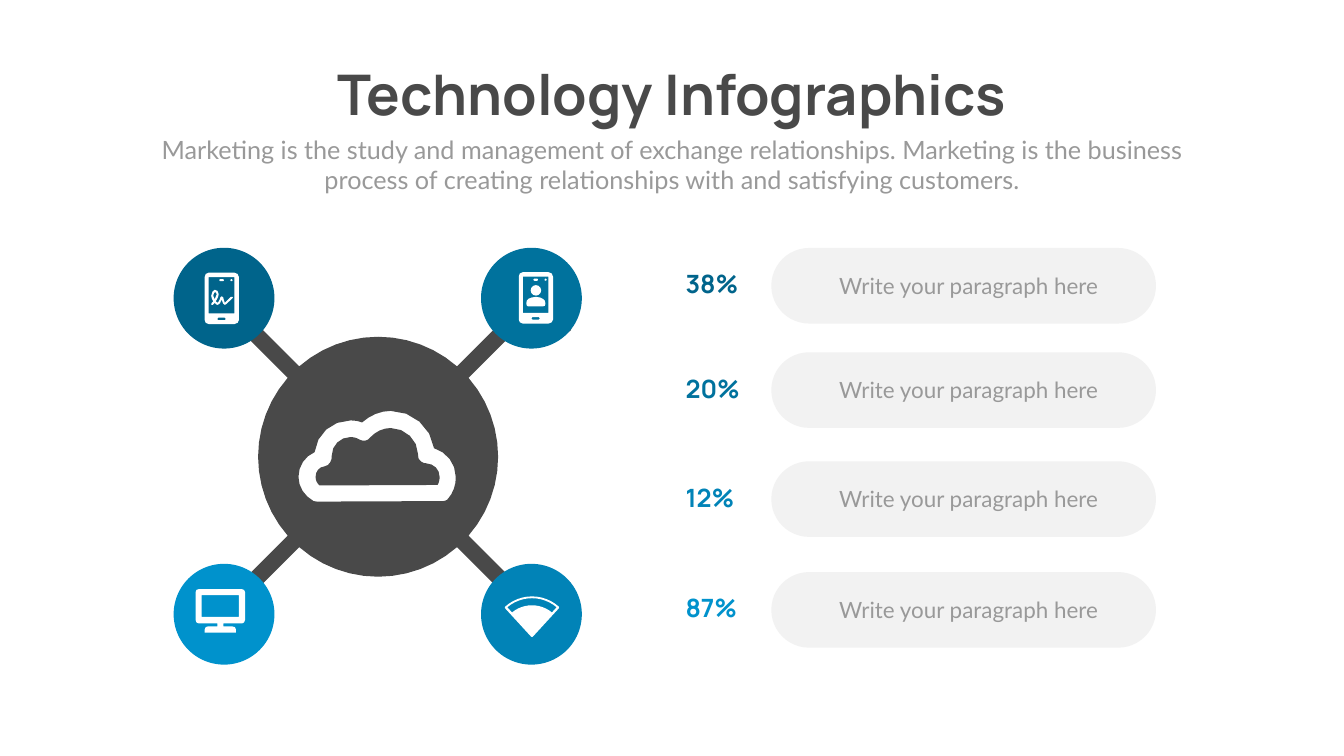
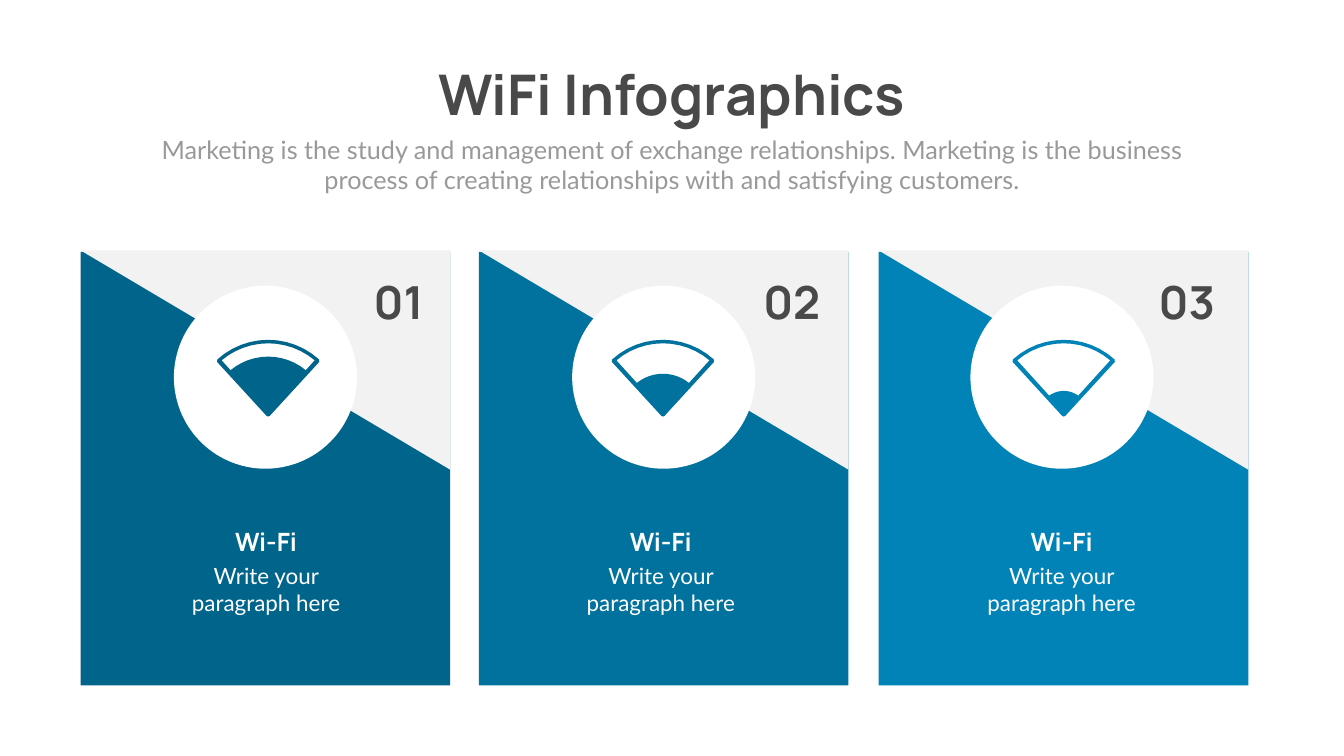
"""Build two infographic slides: a cloud hub with its devices, and three Wi-Fi cards."""
from dataclasses import dataclass
from math import asin, cos, degrees, radians, sin
from typing import NamedTuple

from pptx import Presentation
from pptx.dml.color import RGBColor
from pptx.enum.shapes import MSO_SHAPE
from pptx.enum.text import MSO_AUTO_SIZE, PP_ALIGN
from pptx.shapes.autoshape import Shape
from pptx.slide import Slide
from pptx.util import Pt

ELLIPSE, RECTANGLE = MSO_SHAPE.OVAL, MSO_SHAPE.RECTANGLE
PILL, TRIANGLE = MSO_SHAPE.ROUNDED_RECTANGLE, MSO_SHAPE.RIGHT_TRIANGLE
LEFT, CENTER, RIGHT = PP_ALIGN.LEFT, PP_ALIGN.CENTER, PP_ALIGN.RIGHT
FIT_TEXT = MSO_AUTO_SIZE.SHAPE_TO_FIT_TEXT


@dataclass(frozen=True)
class Theme:
    """Colours, fonts and type sizes of the deck."""
    dark: str = "494949"
    muted: str = "999999"
    pale: str = "F2F2F2"
    white: str = "FFFFFF"
    blues: tuple[str, ...] = ("00648B", "00729D", "0183B7", "0092CC")
    heading_font: str = "Manrope"
    body_font: str = "Lato"
    title_size: float = 80
    number_size: float = 65
    label_size: float = 36
    body_size: float = 32


class Frame(NamedTuple):
    """Left, top, width and height in points."""
    left: float
    top: float
    width: float
    height: float


class Point(NamedTuple):
    """A position in points."""
    x: float
    y: float


class Style(NamedTuple):
    """The look of one line of text."""
    font: str
    size: float
    color: str
    bold: bool = False
    align: PP_ALIGN = CENTER


class Row(NamedTuple):
    """One percentage row."""
    top: float
    value: str
    color: str


class Card(NamedTuple):
    """One Wi-Fi card."""
    left: float
    apex: float
    number_left: float
    number: str
    signal: float
    color: str


Contour = list[Point]
THEME = Theme()
HEADING, BODY = THEME.heading_font, THEME.body_font
BLUES = THEME.blues
SLIDE_WIDTH, SLIDE_HEIGHT = 1919.5, 1080
ART_UNIT = 0.72
BLURB = ("Marketing is the study and management of exchange relationships. Marketing is "
         "the business process of creating relationships with and satisfying customers.")
PROMPT = "Write your paragraph here"
FULL_SIGNAL = 84
ROWS = [
    Row(354.25, "38%", BLUES[0]),
    Row(503.25, "20%", BLUES[1]),
    Row(659, "12%", BLUES[2]),
    Row(817.25, "87%", BLUES[3]),
]
CARDS = [
    Card(115.2, 383, 497.5, "01", FULL_SIGNAL, BLUES[0]),
    Card(684, 946.8, 1064.2, "02", 59.5, BLUES[1]),
    Card(1255, 1519.2, 1628, "03", 35, BLUES[2]),
]

CLOUD = [
    "M 139 83 C 136 87 132 88 127 88 L -121 89 L -128 88 "
    "C -146 78 -158 60 -158 40 C -158 18 -145 -1 -126 -9 C -122 -45 -92 -72 -55 -72 "
    "C -47 -72 -39 -71 -32 -68 C -16 -82 4 -91 25 -91 C 68 -91 105 -59 111 -17 "
    "C 136 -9 154 13 154 40 C 155 56 148 73 139 83",
    "M 122 40 C 122 45 121 51 118 56 L -116 57 C -121 53 -124 47 -124 40 "
    "C -124 29 -117 20 -106 19 C -97 18 -91 7 -92 -2 C -92 -23 -75 -39 -55 -39 "
    "C -49 -39 -43 -38 -37 -34 C -29 -30 -21 -31 -16 -38 C -5 -50 10 -57 25 -57 "
    "C 54 -57 79 -33 79 -6 L 80 3 C 83 9 89 13 95 13 C 111 14 122 25 122 40",
]
SIGNATURE = [
    "M 14 60 L 13 63 L 15 64 L 16 64 L 20 60 C 22 63 24 64 26 64 C 29 64 32 59 33 55 "
    "L 34 54 C 36 60 37 64 40 64 C 40 64 43 64 55 51 L 56 49 L 55 48 "
    "L 52 48 L 40 60 L 38 54 C 37 50 37 47 34 47 "
    "C 32 47 31 49 30 53 C 29 55 27 59 26 60 L 22 57 C 25 52 28 47 28 43 "
    "C 28 37 24 34 20 34 C 18 34 13 39 13 46 C 13 49 15 53 17 57 L 14 60",
    "M 20 39 C 21 39 24 39 24 43 L 20 53 L 17 46 C 17 41 20 39 20 39",
]
SHOULDERS = [
    "M 19 68 L 48 68 C 51 68 53 66 53 63 L 53 62 C 53 58 51 55 48 53 C 45 51 40 49 34 49 "
    "C 28 49 23 51 19 53 C 16 55 15 58 15 62 L 15 63 C 15 66 17 68 19 68",
]
MONITOR = [
    "M 92 0 L 6 0 C 2 0 0 2 0 6 L 0 61 C 0 65 2 68 6 68 L 43 68 L 43 74 L 24 74 "
    "C 21 74 18 76 18 80 L 18 86 L 80 86 L 80 80 C 80 76 77 74 73 74 L 55 74 L 55 68 "
    "L 92 68 C 95 68 98 65 98 61 L 98 6 C 98 2 95 0 92 0",
    "M 86 55 L 12 55 L 12 12 L 86 12",
]
PHONE = [
    "M 59 0 L 8 0 C 3 0 0 4 0 9 L 0 94 C 0 98 3 102 8 102 L 59 102 "
    "C 64 102 68 98 68 94 L 68 9 C 68 4 64 0 59 0",
    "M 40 94 L 27 94 L 25 92 L 27 89 L 40 89 L 42 92",
    "M 59 81 L 8 81 L 8 9 L 59 9",
]


def arc(center: Point, radius: float, start: float, end: float, steps: int) -> Contour:
    """Return points along an arc, with angles in degrees clockwise from the right."""
    angles = [radians(start + (end - start) * i / steps) for i in range(steps + 1)]
    return [Point(center.x + radius * cos(a), center.y + radius * sin(a)) for a in angles]


def trace(outline: str, origin: Point, steps: int) -> Contour:
    """Turn an outline of lines and cubic curves into points around an origin."""
    contour: Contour = []
    for segment in outline.replace("L", "M").replace("C", "M").split("M")[1:]:
        values = [float(v) * ART_UNIT for v in segment.split()]
        ends = [Point(origin.x + x, origin.y + y) for x, y in zip(values[::2], values[1::2])]
        if len(ends) == 1:
            contour += ends
            continue
        knots = [contour[-1], *ends]
        for step in range(1, steps + 1):
            t = step / steps
            weights = ((1 - t) ** 3, 3 * t * (1 - t) ** 2, 3 * t * t * (1 - t), t ** 3)
            contour.append(Point(sum(w * k.x for w, k in zip(weights, knots)),
                                 sum(w * k.y for w, k in zip(weights, knots))))
    return contour


def paint(shape: Shape, color: str) -> None:
    """Give a shape a flat fill without line or shadow."""
    shape.shadow.inherit = False
    shape.fill.solid()
    shape.fill.fore_color.rgb = RGBColor.from_string(color)
    shape.line.fill.background()


def add_preset(page: Slide, kind: MSO_SHAPE, frame: Frame, color: str) -> Shape:
    """Draw a flat preset shape."""
    shape = page.shapes.add_shape(kind, *(Pt(v) for v in frame))
    paint(shape, color)
    if kind == PILL:
        shape.adjustments[0] = 0.5
    return shape


def add_outline(page: Slide, contours: list[Contour], color: str) -> None:
    """Draw closed contours as one freeform, inner contours being holes."""
    first, *others = [[(Pt(p.x), Pt(p.y)) for p in contour] for contour in contours]
    builder = page.shapes.build_freeform(*first[0], scale=1.0)
    builder.add_line_segments(first[1:], close=True)
    for contour in others:
        builder.move_to(*contour[0])
        builder.add_line_segments(contour[1:], close=True)
    paint(builder.convert_to_shape(), color)


def add_art(page: Slide, outlines: list[str], origin: Point) -> None:
    """Draw a white icon from its outlines."""
    add_outline(page, [trace(outline, origin, 2) for outline in outlines], THEME.white)


def add_text(page: Slide, frame: Frame, text: str, style: Style, wrap: bool = True) -> None:
    """Write one paragraph in a text box."""
    box = page.shapes.add_textbox(*(Pt(v) for v in frame)).text_frame
    box.word_wrap = wrap
    box.auto_size = FIT_TEXT
    para = box.paragraphs[0]
    para.alignment = style.align
    span = para.add_run()
    span.text = text
    span.font.name, span.font.size, span.font.bold = style.font, Pt(style.size), style.bold
    span.font.color.rgb = RGBColor.from_string(style.color)


def add_header(page: Slide, title: str, width: float) -> None:
    """Write the centred title and the blurb under it."""
    add_text(page, Frame((SLIDE_WIDTH - width) / 2, 82, width, 104.4), title,
             Style(HEADING, THEME.title_size, THEME.dark, True), wrap=False)
    add_text(page, Frame(210.25, 188, 1499, 94.3), BLURB,
             Style(BODY, THEME.label_size, THEME.muted))


def add_hub(page: Slide, center: Point) -> None:
    """Draw the hub with four spokes and a cloud cut out of it."""
    radius, tip_radius, reach, half_spoke = 171.4, 67.3, 223.3, 11.6
    hub_gap, tip_gap = (degrees(asin(half_spoke / r)) for r in (radius, tip_radius))
    rim: Contour = []
    for turn in (45, 135, 225, 315):
        tip = arc(center, reach * 2 ** 0.5, turn, turn, 1)[0]
        rim += arc(center, radius, turn - 90 + hub_gap, turn - hub_gap, 12)
        rim += arc(tip, tip_radius, turn + 180 + tip_gap, turn + 540 - tip_gap, 8)
    add_outline(page, [rim, *(trace(outline, center, 4) for outline in CLOUD)], THEME.dark)


def add_phone(page: Slide, origin: Point) -> None:
    """Draw a phone body with its speaker and camera."""
    add_art(page, PHONE, origin)
    for kind, left, width in ((PILL, 21, 6.4), (ELLIPSE, 36.8, 3)):
        add_preset(page, kind, Frame(origin.x + left, origin.y + 9.3, width, 3), THEME.white)


def add_wifi(page: Slide, apex: Point, signal: float, color: str, scale: float = 1) -> None:
    """Draw a Wi-Fi fan filled from its apex up to the signal radius."""
    spread = 42.2

    def edge(radius: float, inset: float, way: int) -> Contour:
        """Return the arc between the inset sides of the fan."""
        half = way * (spread - degrees(asin(inset / radius)))
        return arc(apex, radius * scale, -90 - half, -90 + half, 12)

    tip = [Point(apex.x + dx * scale, apex.y + dy * scale)
           for dx, dy in ((73, -76.5), (2.2, 0.7), (0, 1.6), (-2.2, 0.7), (-73, -76.5))]
    add_outline(page, [edge(108, 0, 1) + tip, edge(103, 3.6, 1) + edge(signal, 3.6, -1)], color)


def build_technology(page: Slide) -> None:
    """Draw the hub with its devices beside the percentage rows."""
    add_hub(page, Point(540, 652.5))
    nodes = zip(((248, 354), (687, 354), (687, 805.5), (248, 805.5)), BLUES)
    for (left, top), color in nodes:
        add_preset(page, ELLIPSE, Frame(left, top, 144, 144), color)
    add_header(page, "Technology Infographics", 1050.5)

    signing, contact = Point(292.3, 389.5), Point(740.9, 388.8)
    add_phone(page, contact)
    add_preset(page, ELLIPSE, Frame(contact.x + 17, contact.y + 18.5, 15, 15), THEME.white)
    add_art(page, SHOULDERS, contact)
    add_phone(page, signing)
    add_art(page, SIGNATURE, signing)
    add_art(page, MONITOR, Point(279.4, 841.7))
    add_wifi(page, Point(759.8, 909.2), FULL_SIGNAL, THEME.white, scale=0.53)

    for row in ROWS:
        add_preset(page, PILL, Frame(1101.6, row.top, 549.4, 108), THEME.pale)
        add_text(page, Frame(972, row.top + 26, 129.6, 51), row.value,
                 Style(HEADING, THEME.label_size, row.color, True, LEFT))
        add_text(page, Frame(1162.8, row.top + 31, 441.4, 46), PROMPT,
                 Style(BODY, THEME.body_size, THEME.muted))


def build_wifi(page: Slide) -> None:
    """Draw the three numbered Wi-Fi cards."""
    add_header(page, "WiFi Infographics", 738)
    for index, card in enumerate(CARDS):
        add_preset(page, RECTANGLE, Frame(card.left, 360, 527.8, 619.2), card.color)
        corner = add_preset(page, TRIANGLE, Frame(card.left, 357.8, 527.8, 313.2), THEME.pale)
        corner.rotation = 180
        disc = Frame(248.4 + 568.8 * index, 408.2, 261.4, 261.4)
        add_preset(page, ELLIPSE, disc, THEME.white)
        add_wifi(page, Point(card.apex, 593.5), card.signal, card.color)
        middle = card.apex - 3
        add_text(page, Frame(middle - 167.8, 748.8, 335.6, 51), "Wi-Fi",
                 Style(HEADING, THEME.label_size, THEME.white, True))
        add_text(page, Frame(middle - 152.6, 800, 305.2, 85), PROMPT,
                 Style(BODY, THEME.body_size, THEME.white))
        add_text(page, Frame(card.number_left, 388, 114.5, 85.7), card.number,
                 Style(HEADING, THEME.number_size, THEME.dark, True, RIGHT))


def main() -> None:
    """Build and save the deck."""
    deck = Presentation()
    deck.slide_width, deck.slide_height = Pt(SLIDE_WIDTH), Pt(SLIDE_HEIGHT)
    for build in (build_technology, build_wifi):
        build(deck.slides.add_slide(deck.slide_layouts[6]))
    deck.save("out.pptx")


if __name__ == "__main__":
    main()
